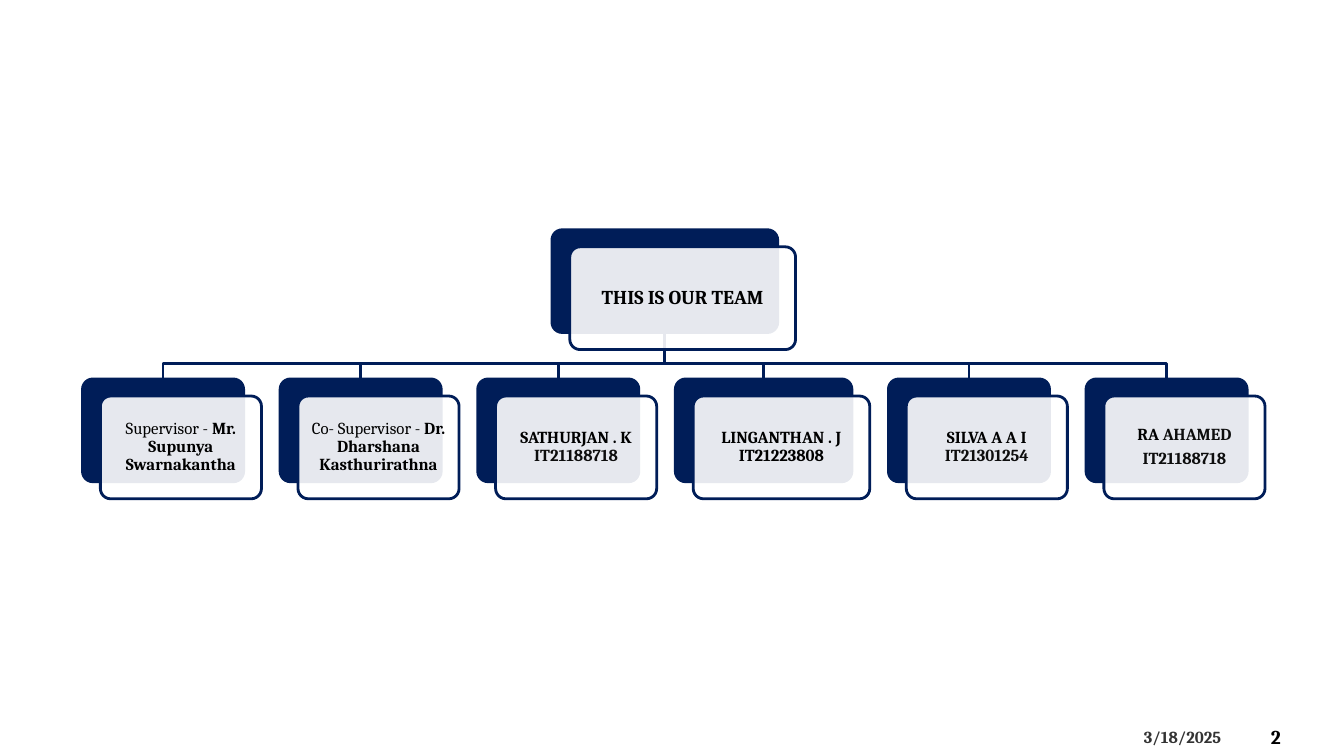
from dataclasses import dataclass

from lxml import etree
from pptx import Presentation
from pptx.dml.color import RGBColor
from pptx.enum.shapes import MSO_SHAPE
from pptx.enum.text import MSO_ANCHOR, PP_ALIGN
from pptx.oxml.ns import qn
from pptx.util import Cm, Pt

ROUNDED = MSO_SHAPE.ROUNDED_RECTANGLE
MIDDLE = MSO_ANCHOR.MIDDLE
CENTER = PP_ALIGN.CENTER
LEFT = PP_ALIGN.LEFT


@dataclass(frozen=True)
class Theme:
    """Colours, font and type sizes of the slide."""
    navy: RGBColor = RGBColor(0x00, 0x1D, 0x58)
    white: RGBColor = RGBColor(0xFF, 0xFF, 0xFF)
    black: RGBColor = RGBColor(0x00, 0x00, 0x00)
    ink: RGBColor = RGBColor(0x0D, 0x0D, 0x0D)
    grey: RGBColor = RGBColor(0x33, 0x33, 0x33)
    font: str = "Cambria"
    large: Pt = Pt(14)
    small: Pt = Pt(12)
    line: Pt = Pt(2)


THEME = Theme()

CARD_HEIGHT = Cm(2.59)
CARD_SHIFT_X = Cm(0.45)
CARD_SHIFT_Y = Cm(0.43)
CARD_GAP = Cm(0.92)
LEAD_WIDTH = Cm(5.69)
LEVEL_PITCH = Cm(3.76)
BEND_ABOVE_CARD = Cm(0.38)
NARROW, WIDE = Cm(4.06), Cm(4.45)

LEAD = [[("THIS IS OUR TEAM", True, THEME.black)]]
MEMBERS = [
    (NARROW, [[("Supervisor - ", False, THEME.black),
               ("Mr. Supunya Swarnakantha", True, THEME.black)]]),
    (NARROW, [[("Co- Supervisor - ", False, THEME.black),
               ("Dr. Dharshana Kasthurirathna", True, THEME.black)]]),
    (NARROW, [[("SATHURJAN . K ", True, THEME.black),
               ("IT21188718", True, THEME.ink)]]),
    (WIDE, [[("LINGANTHAN . J IT21223808", True, THEME.black)]]),
    (NARROW, [[("SILVA A A I ", True, THEME.black),
               ("IT21301254", True, THEME.ink)]]),
    (NARROW, [[("RA ", True, THEME.black), ("AHAMED", True, THEME.ink)],
              [("IT21188718", True, THEME.ink)]]),
]


def write_text(frame, paragraphs, size, alignment):
    """Write paragraphs of (text, bold, colour) runs into a text frame."""
    frame.word_wrap = True
    frame.vertical_anchor = MIDDLE
    for index, runs in enumerate(paragraphs):
        paragraph = frame.add_paragraph() if index else frame.paragraphs[0]
        paragraph.alignment = alignment
        paragraph.line_spacing = 0.9
        paragraph.space_after = Pt(size.pt * 0.35)
        for text, bold, color in runs:
            run = paragraph.add_run()
            run.text = text
            run.font.name = THEME.font
            run.font.size = size
            run.font.bold = bold
            run.font.color.rgb = color


def add_panel(slide, left, top, width, color):
    """Add one outlined, rounded panel of a card."""
    panel = slide.shapes.add_shape(ROUNDED, left, top, width, CARD_HEIGHT)
    panel.adjustments[0] = 0.1
    panel.shadow.inherit = False
    panel.fill.solid()
    panel.fill.fore_color.rgb = color
    panel.line.color.rgb = THEME.navy
    panel.line.width = THEME.line
    return panel


def add_card(slide, left, top, width, paragraphs, size):
    """Add a navy panel with a translucent text panel shifted over it."""
    add_panel(slide, left, top, width, THEME.navy)
    front = add_panel(slide, left + CARD_SHIFT_X, top + CARD_SHIFT_Y,
                      width, THEME.white)
    color = front.fill._xPr.find(qn("a:solidFill"))[0]
    etree.SubElement(color, qn("a:alpha"), val="90000")
    frame = front.text_frame
    frame.margin_left = frame.margin_right = Cm(0.13)
    frame.margin_top = frame.margin_bottom = Cm(0.13)
    write_text(frame, paragraphs, size, CENTER)


def add_branch(slide, start_x, start_y, end_x, end_y):
    """Add a bent line from the lead card down to a member card."""
    bend_y = end_y - BEND_ABOVE_CARD
    builder = slide.shapes.build_freeform(start_x, start_y)
    builder.add_line_segments(
        [(start_x, bend_y), (end_x, bend_y), (end_x, end_y)], close=False)
    branch = builder.convert_to_shape()
    branch.shadow.inherit = False
    branch.fill.background()
    branch.line.color.rgb = THEME.navy
    branch.line.width = THEME.line


def add_team_chart(slide, left, top):
    """Add the team tree with its top left corner at the given point."""
    row_width = (sum(width for width, _ in MEMBERS)
                 + CARD_GAP * (len(MEMBERS) - 1))
    center = left + row_width // 2
    row_top = top + LEVEL_PITCH
    cards = []
    for width, paragraphs in MEMBERS:
        cards.append((left, width, paragraphs))
        left += width + CARD_GAP
    for card_left, width, _ in cards:
        add_branch(slide, center, top + CARD_HEIGHT,
                   card_left + width // 2, row_top)
    add_card(slide, center - LEAD_WIDTH // 2, top, LEAD_WIDTH, LEAD,
             THEME.large)
    for card_left, width, paragraphs in cards:
        add_card(slide, card_left, row_top, width, paragraphs, THEME.small)


def add_footer(slide, left, top, height):
    """Add the date and the slide number side by side."""
    parts = [
        ("3/18/2025", Cm(0), Cm(2.97), THEME.small, THEME.grey),
        ("2", Cm(3.2), Cm(1.88), THEME.large, THEME.black),
    ]
    for text, offset, width, size, color in parts:
        box = slide.shapes.add_textbox(left + offset, top, width, height)
        write_text(box.text_frame, [[(text, True, color)]], size, LEFT)


def main():
    """Build and save the team slide."""
    presentation = Presentation()
    presentation.slide_width = Cm(33.87)
    presentation.slide_height = Cm(19.05)
    slide = presentation.slides.add_slide(presentation.slide_layouts[6])
    add_team_chart(slide, Cm(2.08), Cm(5.79))
    add_footer(slide, Cm(28.58), Cm(18.1), Cm(1.02))
    presentation.save("out.pptx")


if __name__ == "__main__":
    main()
